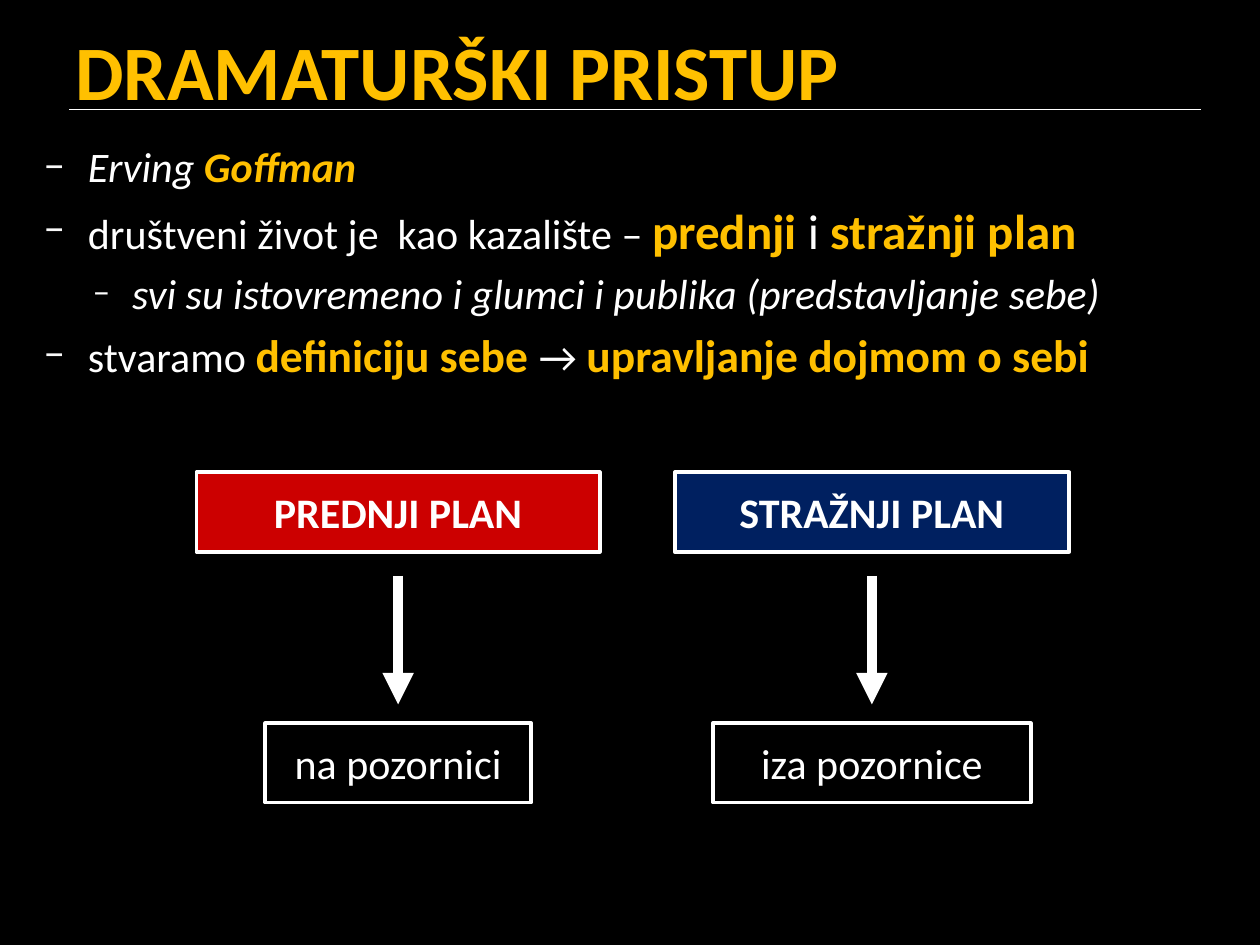
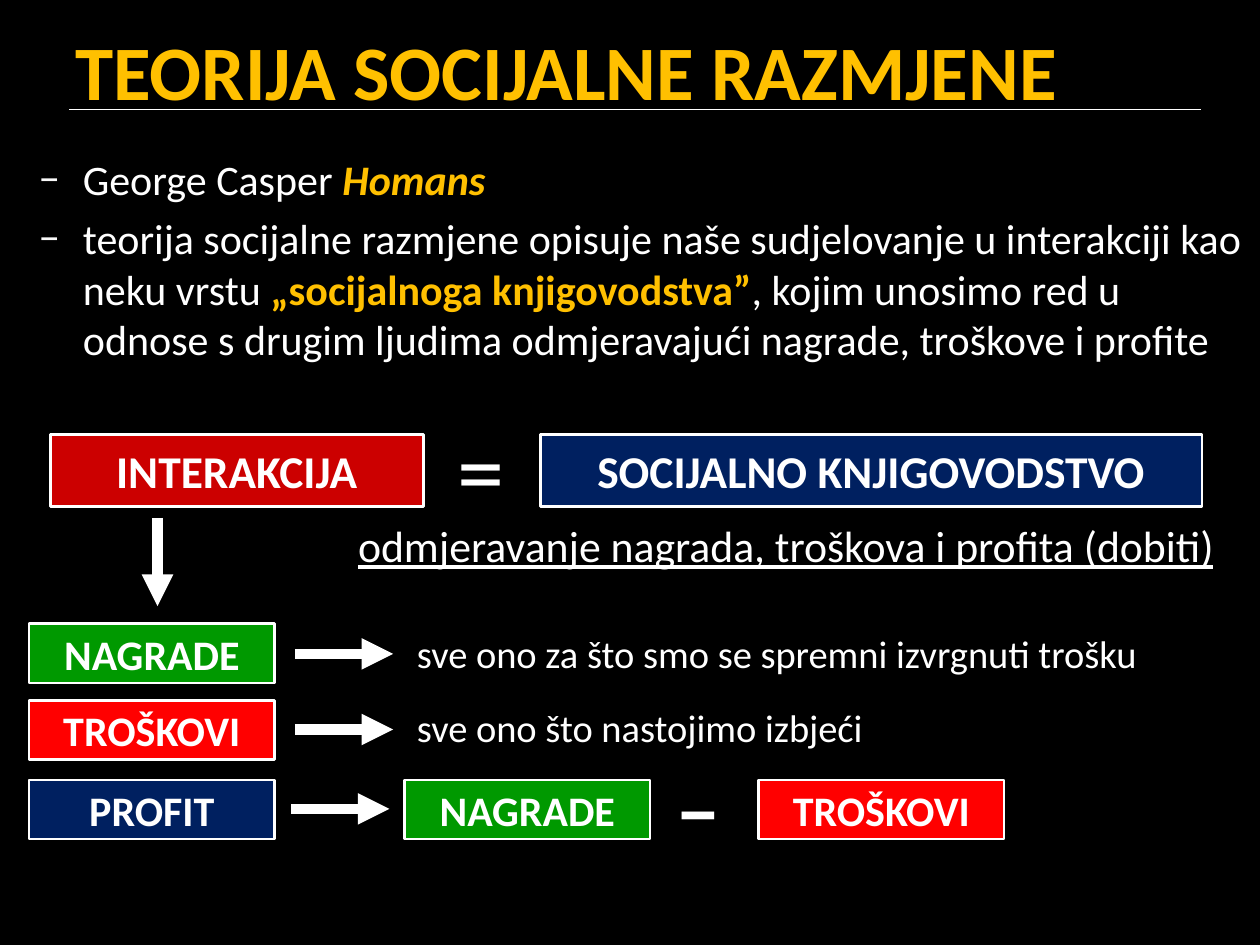
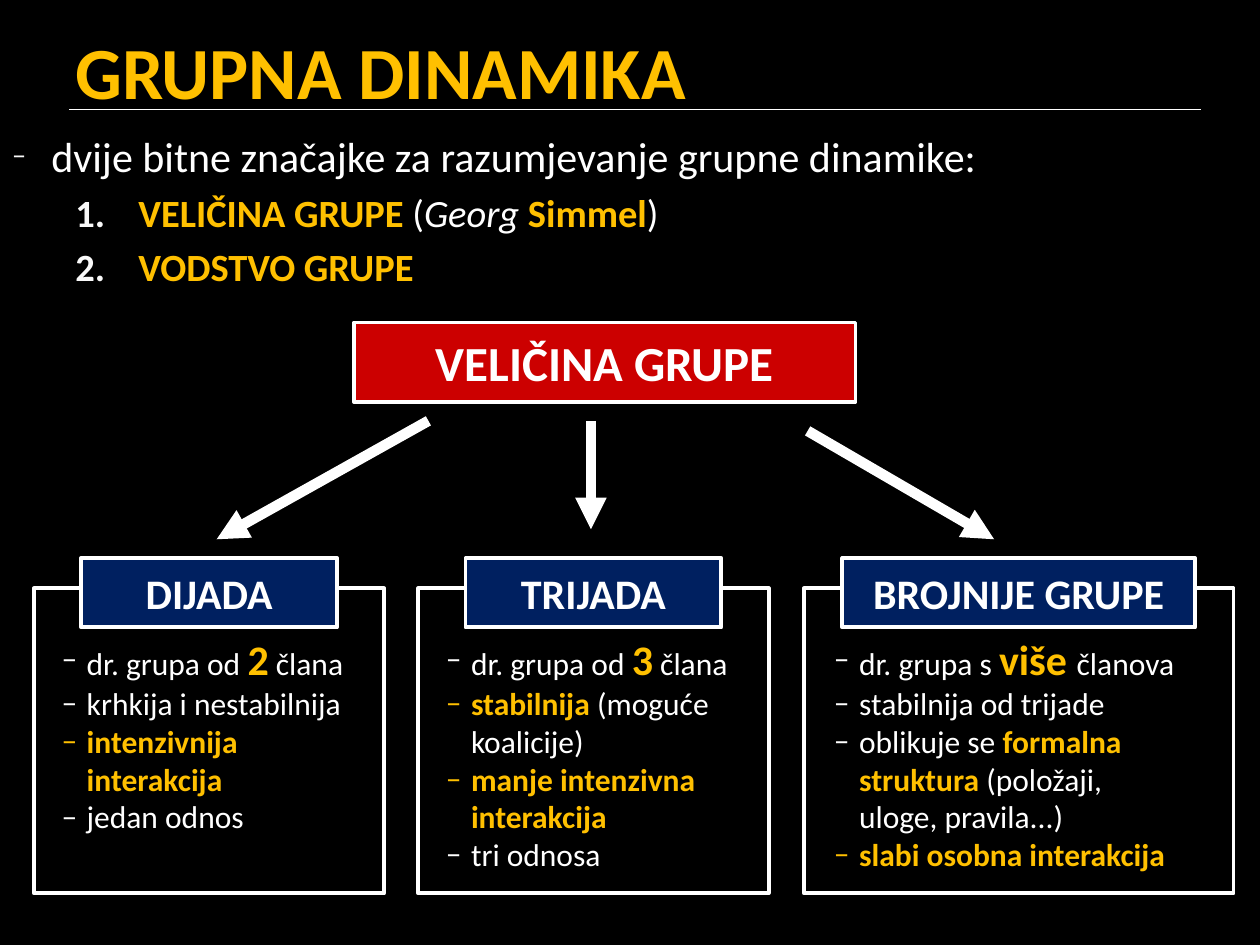
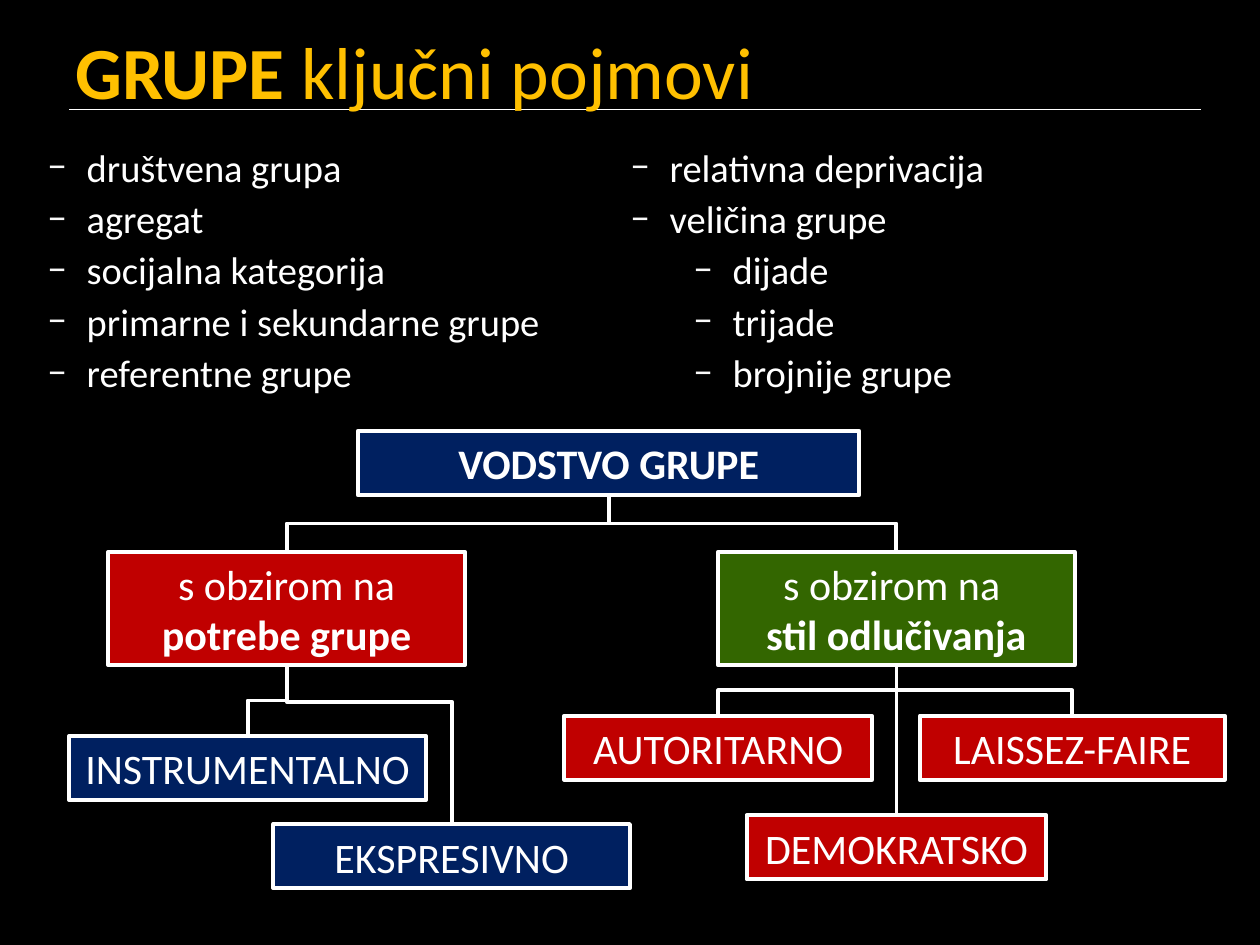
from lxml import etree
from pptx import Presentation
from pptx.dml.color import RGBColor
from pptx.enum.shapes import MSO_CONNECTOR, MSO_SHAPE
from pptx.enum.text import MSO_ANCHOR, PP_ALIGN
from pptx.oxml.ns import qn
from pptx.util import Inches, Pt

LEFT, MID, RIGHT = PP_ALIGN.LEFT, PP_ALIGN.CENTER, PP_ALIGN.RIGHT
TOP, MIDDLE = MSO_ANCHOR.TOP, MSO_ANCHOR.MIDDLE
STRAIGHT, ELBOW = MSO_CONNECTOR.STRAIGHT, MSO_CONNECTOR.ELBOW
RECT = MSO_SHAPE.RECTANGLE

FONT = "Calibri"
HEX = {
    "back": "000000", "text": "FFFFFF", "gold": "FFC000", "dash": "F9F9F9",
    "red": "CC0000", "navy": "002060", "green": "009900", "alert": "FF0000",
    "wine": "C00000", "moss": "336600",
}

# Bullet kinds: margin and hang in inches, sign (None counts), colour, size %
KINDS = {
    "main": (0.6, 0.35, "−", "dash", 100),
    "sub": (0.95, 0.31, "−", "text", 80),
    "lead": (0.31, 0.31, "−", "dash", 65),
    "count": (1, 0.5, None, "dash", 100),
    "term": (0.31, 0.31, "−", "dash", 100),
    "inner": (0.81, 0.31, "−", "dash", 100),
    "card": (0.2, 0.2, "–", None, 100),
}


def unit(num):
    """The grid has 100 columns and 75 rows, each a tenth of an inch."""
    return Inches(num / 10)


def tint(name):
    return RGBColor.from_string(HEX[name])


def add(node, tag, **attrs):
    return etree.SubElement(node, qn(tag), attrs)


# ---- Text ----

def write(par, runs, size):
    """A run is plain text or (text, marks, size): g gold, b bold, i italic, u underlined."""
    for run in runs:
        text, marks, points = ((run, "") if isinstance(run, str) else run) + (size,) \
            if isinstance(run, str) or len(run) == 2 else run
        for num, part in enumerate(text.split("\n")):
            if num:
                par.add_line_break()
            if not part:
                continue
            bit = par.add_run()
            bit.text = part
            font = bit.font
            font.name, font.size = FONT, Pt(points)
            font.bold, font.italic = "b" in marks, "i" in marks
            font.underline = "u" in marks
            font.color.rgb = tint("gold" if "g" in marks else "text")


def bullet(par, kind):
    margin, hang, sign, hue, share = KINDS[kind]
    props = par._p.get_or_add_pPr()
    props.set("marL", str(Inches(margin)))
    props.set("indent", str(-Inches(hang)))
    if hue:
        add(add(props, "a:buClr"), "a:srgbClr", val=HEX[hue])
    add(props, "a:buSzPct", val=str(share * 1000))
    add(props, "a:buFont", typeface=FONT)
    if sign:
        add(props, "a:buChar", char=sign)
    else:
        add(props, "a:buAutoNum", type="arabicPeriod")


def frame(slide, area, anchor=TOP):
    body = slide.shapes.add_textbox(*map(unit, area)).text_frame
    body.word_wrap = True
    body.vertical_anchor = anchor
    return body


def label(slide, area, runs, size, align=LEFT, anchor=TOP):
    par = frame(slide, area, anchor).paragraphs[0]
    par.alignment = align
    write(par, runs, size)


def points(slide, area, size, items, gap=0, cols=1):
    body = frame(slide, area)
    if cols > 1:
        body._txBody.bodyPr.set("numCol", str(cols))
    for num, (kind, *runs) in enumerate(items):
        par = body.add_paragraph() if num else body.paragraphs[0]
        bullet(par, kind)
        par.space_before = Pt(gap if num else 0)
        write(par, runs, size)


# ---- Shapes and lines ----

def box(slide, area, fill=None, runs=(), size=24, edge=2.25):
    shape = slide.shapes.add_shape(RECT, *map(unit, area))
    shape.shadow.inherit = False
    if fill:
        shape.fill.solid()
        shape.fill.fore_color.rgb = tint(fill)
    else:
        shape.fill.background()
    shape.line.color.rgb = tint("text")
    shape.line.width = Pt(edge)
    body = shape.text_frame
    body.vertical_anchor = MIDDLE
    body.paragraphs[0].alignment = MID
    write(body.paragraphs[0], runs, size)
    return shape


def stroke(slide, ends, width, kind=STRAIGHT):
    line = slide.shapes.add_connector(kind, *ends)
    line.line.color.rgb = tint("text")
    line.line.width = Pt(width)
    add(line._element.spPr, "a:effectLst")
    return line


def arrow(slide, *ends):
    line = stroke(slide, map(unit, ends), 6)
    add(line.line._get_or_add_ln(), "a:tailEnd", type="triangle")


def link(slide, upper, lower, bend=0.5):
    """Join the bottom of one box to the top of another."""
    x1, y1 = upper.left + upper.width // 2, upper.top + upper.height
    x2, y2 = lower.left + lower.width // 2, lower.top
    wide, high = abs(x2 - x1), y2 - y1
    plain = wide < unit(0.1)
    line = stroke(slide, (x1, y1, x2, y2), 2.25, STRAIGHT if plain else ELBOW)
    line.begin_connect(upper, 2)
    line.end_connect(lower, 0)
    if plain:
        return
    # A bend that starts downwards is a sideways bend turned by a quarter
    props = line._element.spPr
    turn = props.find(qn("a:xfrm"))
    turn.flipH, turn.flipV = x2 > x1, False
    turn.rot = 270 if x2 > x1 else 90
    line.left = (x1 + x2 - high) // 2
    line.top = (y1 + y2 - wide) // 2
    line.width, line.height = high, wide
    guides = props.find(qn("a:prstGeom")).get_or_add_avLst()
    add(guides, "a:gd", name="adj1", fmla=f"val {round(bend * 100000)}")


def page(deck, *title, size=44):
    slide = deck.slides.add_slide(deck.slide_layouts[6])
    stroke(slide, map(unit, (5.5, 8.7, 95.3, 8.7)), 1)
    label(slide, (5, 0.8, 91.1, 9.5), title, size, anchor=MIDDLE)
    return slide


# ---- Slides ----

def drama(deck):
    slide = page(deck, ("DRAMATURŠKI PRISTUP", "gb"))
    points(slide, (0, 10.7, 100, 62.7), 24, [
        ("main", ("Erving ", "i"), ("Goffman", "gbi")),
        ("main", "društveni život je  kao kazalište – ", ("prednji", "gb", 28),
         (" i ", "", 28), ("stražnji plan", "gb", 28)),
        ("sub", ("svi su istovremeno i glumci i publika (predstavljanje sebe)", "i")),
        ("main", "stvaramo ", ("definiciju sebe ", "gb", 26), "→ ",
         ("upravljanje dojmom o sebi", "gb", 26)),
    ], gap=5)
    plans = [
        (31.6, 32, "red", "PREDNJI PLAN", 21.1, "na pozornici"),
        (69.2, 31.3, "navy", "STRAŽNJI PLAN", 25.2, "iza pozornice"),
    ]
    for mid, wide, fill, name, low, place in plans:
        box(slide, (mid - wide / 2, 37.5, wide, 6.3), fill, [(name, "b")])
        arrow(slide, mid, 45.7, mid, 55.9)
        box(slide, (mid - low / 2, 57.4, low, 6.3), None, [place])


def trade(deck):
    slide = page(deck, ("TEORIJA SOCIJALNE RAZMJENE", "gb"))
    points(slide, (-0.4, 11.7, 100, 61.7), 24, [
        ("main", "George Casper ", ("Homans", "gbi")),
        ("main", "teorija socijalne razmjene opisuje naše sudjelovanje u "
         "interakciji kao neku vrstu ", ("„socijalnoga knjigovodstva”", "gb"),
         ", kojim unosimo red u odnose s drugim ljudima odmjeravajući "
         "nagrade, troškove i profite"),
    ], gap=5)

    # Equation
    for left, wide, fill, name in [
        (4, 29.6, "red", "INTERAKCIJA"),
        (42.9, 52.5, "navy", "SOCIJALNO KNJIGOVODSTVO"),
    ]:
        box(slide, (left, 34.5, wide, 5.7), fill, [(name, "b")], 26, 1.5)
    label(slide, (35.3, 32.1, 5.2, 10.1), ["="], 54)
    label(slide, (16.8, 40.7, 80.5, 6.3),
          [("odmjeravanje nagrada, troškova i profita (dobiti)", "u")], 25, RIGHT)
    arrow(slide, 12.5, 41.1, 12.5, 48.1)

    # Terms
    for left, top, fill, name in [
        (2.3, 49.5, "green", "NAGRADE"), (2.3, 55.6, "alert", "TROŠKOVI"),
        (2.3, 61.9, "navy", "PROFIT"), (32.1, 61.9, "green", "NAGRADE"),
        (60.2, 61.9, "alert", "TROŠKOVI"),
    ]:
        box(slide, (left, top, 19.5, 4.7), fill, [(name, "b")], edge=1.5)
    for left, row in [(23.4, 51.9), (23.4, 57.9), (23.1, 64.2)]:
        arrow(slide, left, row, left + 7.8, row)
    for top, text in [
        (49.5, "sve ono za što smo se spremni izvrgnuti trošku"),
        (55.4, "sve ono što nastojimo izbjeći"),
    ]:
        label(slide, (32.1, top, 67.9, 4.7), [text], 22)
    label(slide, (52.8, 59.7, 6.1, 9.1), [("−", "b")], 48)


def group(deck):
    slide = page(deck, ("GRUPNA DINAMIKA", "gb"), size=42)
    points(slide, (0, 9.9, 100, 62.5), 22, [
        ("lead", ("dvije bitne značajke za razumjevanje grupne dinamike:", "", 24)),
        ("count", ("VELIČINA GRUPE ", "gb"), "(", ("Georg ", "i"), ("Simmel", "gb"), ")"),
        ("count", ("VODSTVO GRUPE", "gb")),
    ], gap=4.5)
    box(slide, (28.1, 25.6, 39.8, 6.3), "red", [("VELIČINA GRUPE", "b")], 28)

    cards = [
        (2.7, 27.8, 20.3, 1.2, "DIJADA", [
            ["dr. grupa od ", ("2", "gb", 24), " člana"],
            ["krhkija i nestabilnija"],
            [("intenzivnija interakcija", "gb")],
            ["jedan odnos"]]),
        (33.2, 27.8, 20.3, 1.2, "TRIJADA", [
            ["dr. grupa od ", ("3", "gb", 24), " člana"],
            [("stabilnija", "gb"), " (moguće koalicije)"],
            [("manje intenzivna interakcija", "gb")],
            ["tri odnosa"]]),
        (63.8, 34.1, 28, 1.4, "BROJNIJE GRUPE", [
            ["dr. grupa s ", ("više ", "gb", 24), "članova"],
            ["stabilnija od trijade"],
            ["oblikuje se ", ("formalna struktura", "gb"), " (položaji, \nuloge, pravila...)"],
            [("slabi osobna interakcija", "gb")]]),
    ]
    for left, wide, tab, pad, name, facts in cards:
        box(slide, (left, 46.7, wide, 24.2))
        box(slide, (left + (wide - tab) / 2, 44.3, tab, 5.5), "navy", [(name, "b")])
        points(slide, (left + pad, 49.8, wide - 1.2, 20.2), 18,
               [("card", *runs) for runs in facts])
    for ends in [(34, 33.4, 17.2, 42.8), (46.9, 33.4, 46.9, 42), (64.1, 34.2, 78.9, 42.8)]:
        arrow(slide, *ends)


def terms(deck):
    slide = page(deck, ("GRUPE ", "gb"), ("ključni pojmovi", "g"), size=42)
    outer = ["društvena grupa", "agregat", "socijalna kategorija",
             "primarne i sekundarne grupe", "referentne grupe",
             "relativna deprivacija", "veličina grupe"]
    inner = ["dijade", "trijade", "brojnije grupe"]
    points(slide, (2.8, 10.9, 94.5, 23.4), 22,
           [("term", text) for text in outer] + [("inner", text) for text in inner],
           gap=3, cols=2)

    # Tree of leadership: branches, each with its leaves
    root = box(slide, (28.4, 34.2, 39.8, 5.1), "navy", [("VODSTVO GRUPE", "b")])
    tree = [
        (8.6, "wine", ["s obzirom na ", ("potrebe grupe", "b")], "navy", [
            (5.5, 58.4, 28.3, "INSTRUMENTALNO", 0.5),
            (21.7, 65.4, 28.3, "EKSPRESIVNO", 0.23)]),
        (57, "moss", ["s obzirom na \n", ("stil odlučivanja", "b")], "wine", [
            (44.8, 56.8, 24.4, "AUTORITARNO", 0.5),
            (59.25, 64.7, 23.8, "DEMOKRATSKO", 0.5),
            (73, 56.8, 24.2, "LAISSEZ-FAIRE", 0.5)]),
    ]
    for left, fill, runs, hue, leaves in tree:
        branch = box(slide, (left, 43.8, 28.3, 9), fill, runs)
        link(slide, root, branch)
        for side, top, wide, name, bend in leaves:
            leaf = box(slide, (side, top, wide, 5.1), hue, [name])
            link(slide, branch, leaf, bend)


def main():
    deck = Presentation()
    deck.slide_width, deck.slide_height = unit(100), unit(75)
    back = deck.slide_master.background.fill
    back.solid()
    back.fore_color.rgb = tint("back")
    for build in (drama, trade, group, terms):
        build(deck)
    deck.save("out.pptx")


if __name__ == "__main__":
    main()
